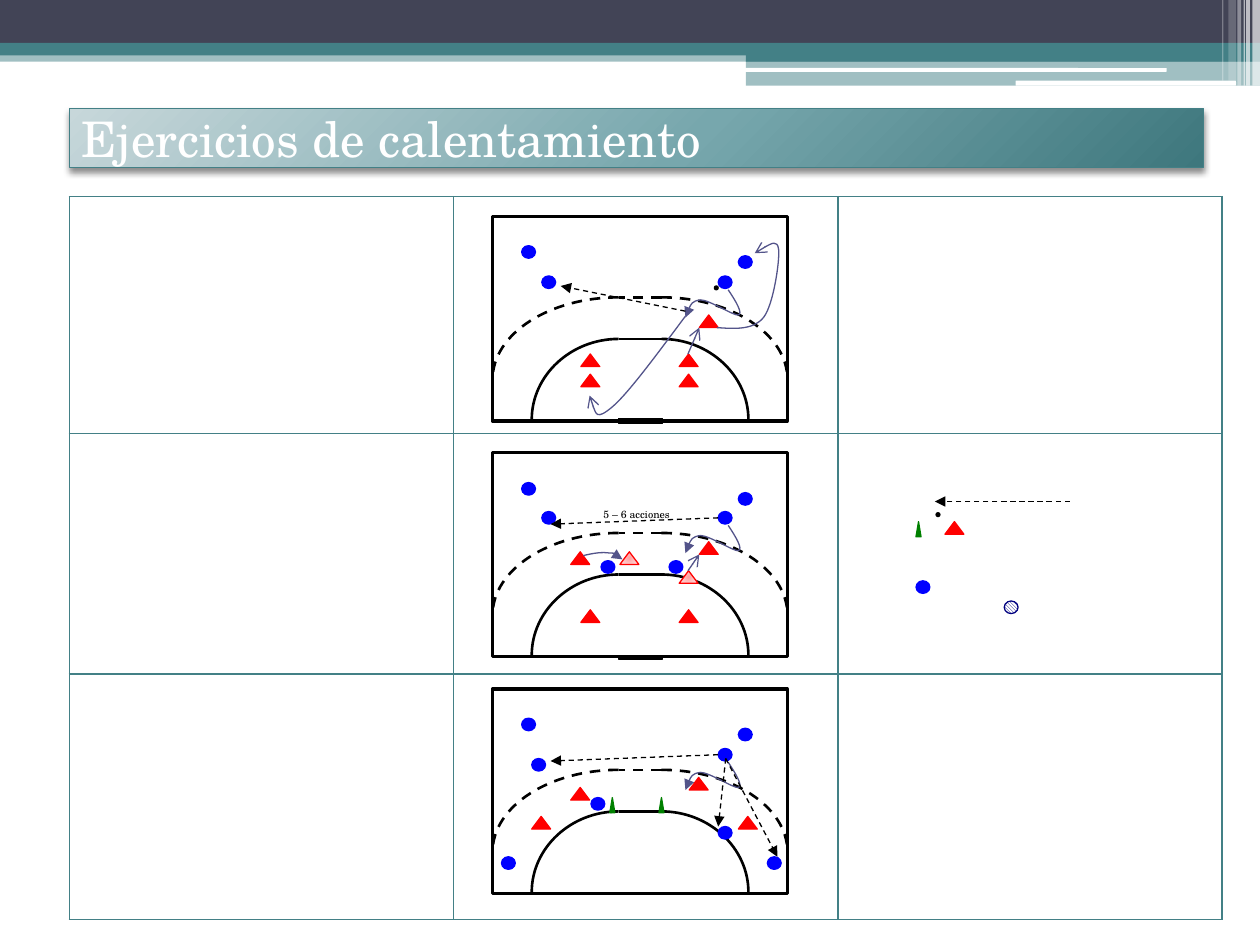
from lxml import etree
from pptx import Presentation
from pptx import util as u
from pptx.dml.color import RGBColor
from pptx.enum import dml, shapes, text
from pptx.oxml import parse_xml
from pptx.oxml.ns import nsdecls, qn

PX = 9144  # 100 px to the inch
FONT = "TeX Gyre Schola"
TEAL, NAVY, WHITE, BLACK = "438086", "424456", "FFFFFF", "000000"
BLUE, RED, GREEN, VIOLET = "0000FF", "FF0000", "008000", "53548A"
RECT, ROUND = shapes.MSO_SHAPE.RECTANGLE, shapes.MSO_SHAPE.ROUNDED_RECTANGLE
OVAL, TRIANGLE = shapes.MSO_SHAPE.OVAL, shapes.MSO_SHAPE.ISOSCELES_TRIANGLE
color = RGBColor.from_string


def draw(parent, kind, box, fill, line=None, width=0.75, alpha=None):
    """Add a preset shape; fill is a hex colour or (stops, focus) of a radial gradient."""
    shape = parent.add_shape(kind, *(v * PX for v in box))
    shape.shadow.inherit = False
    if isinstance(fill, str):
        shape.fill.solid()
        shape.fill.fore_color.rgb = color(fill)
    else:
        stops, focus = fill
        shape.fill.background()
        no_fill = shape._element.spPr.find(qn("a:noFill"))
        gs = "".join(f'<a:gs pos="{pos * 1000}"><a:srgbClr val="{c}"/></a:gs>' for pos, c in stops)
        sides = " ".join(f'{side}="{v * 1000}"' for side, v in zip("ltrb", focus))
        no_fill.getparent().replace(no_fill, parse_xml(
            f'<a:gradFill {nsdecls("a")} rotWithShape="1"><a:gsLst>{gs}</a:gsLst>'
            f'<a:path path="circle"><a:fillToRect {sides}/></a:path></a:gradFill>'))
    if alpha:
        for rgb in shape._element.spPr.xpath("./a:solidFill/a:srgbClr"):
            etree.SubElement(rgb, qn("a:alpha"), val=str(alpha * 1000))
    if line:
        shape.line.color.rgb = color(line)
        shape.line.width = u.Pt(width)
    else:
        shape.line.fill.background()
    return shape


def stroke(parent, points, hue, width=0.75, dash=False, arrow=None):
    """Two points make a straight line; more are a start and Bézier triples."""
    if len(points) == 2:
        mark = parent.add_connector(shapes.MSO_CONNECTOR.STRAIGHT,
                                    *(v * PX for point in points for v in point))
    else:
        builder = parent.build_freeform(*points[0], scale=PX)
        builder.add_line_segments(points[1:], close=False)
        mark = builder.convert_to_shape()
        mark.fill.background()
        steps = mark._element.xpath(".//a:lnTo")
        outline = steps[0].getparent()
        for i, step in enumerate(steps):
            if i % 3 == 0:
                bezier = etree.SubElement(outline, qn("a:cubicBezTo"))
            bezier.append(step[0])
            outline.remove(step)
    mark.line.color.rgb = color(hue)
    mark.line.width = u.Pt(width)
    if dash:
        mark.line.dash_style = dml.MSO_LINE.DASH
    if arrow:
        etree.SubElement(mark.line._get_or_add_ln(), qn("a:tailEnd"), type=arrow)
    etree.SubElement(mark._element.spPr, qn("a:effectLst"))


prs = Presentation()
prs.slide_width, prs.slide_height = 1000 * PX, 750 * PX
slide = prs.slides.add_slide(prs.slide_layouts[6])
canvas = slide.shapes

# Header bands
for kind, box, fill, alpha in [
    (RECT, (0, 40, 1000, 9), TEAL, 50),
    (RECT, (0, 0, 1000, 34), NAVY, None),
    (RECT, (0, 34, 1000, 10), TEAL, None),
    (RECT, (592, 39, 408, 10), TEAL, None),
    (RECT, (592, 48, 408, 20), TEAL, 50),
    (ROUND, (591, 54, 335, 3), WHITE, None),
    (ROUND, (806, 64, 175, 4), WHITE, None),
]:
    draw(canvas, kind, box, fill, alpha=alpha)
for left, width, height, alpha in [(994, 6, 68, 65), (989, 3, 68, 65), (987, 1, 68, 60),
                                   (982, 3, 68, 40), (975, 6, 64, 20), (970, 1, 64, 30)]:
    draw(canvas, RECT, (left, 0, width, height), WHITE, alpha=alpha)

# Title
title = draw(canvas, RECT, (55, 86, 900, 47),
             ([(0, "C7D7DA"), (55, "77A7AD"), (100, "3E777D")], (-40, -90, 140, 190)), TEAL)
title._element.spPr.find(qn("a:effectLst")).append(parse_xml(
    f'<a:outerShdw {nsdecls("a")} blurRad="50800" dist="25400" dir="5400000" rotWithShape="0">'
    '<a:srgbClr val="000000"><a:alpha val="45000"/></a:srgbClr></a:outerShdw>'))
title.text_frame.word_wrap = True
title.text_frame.vertical_anchor = text.MSO_ANCHOR.MIDDLE
heading = title.text_frame.paragraphs[0]
heading.alignment = text.PP_ALIGN.LEFT
run = heading.add_run()
run.text = "Ejercicios de calentamiento"
run.font.size, run.font.name = u.Pt(28), FONT
run.font.color.rgb = color(WHITE)

# Grid of exercises
grid = canvas.add_table(3, 3, 55 * PX, 156 * PX, 915 * PX, 574 * PX).table
grid.first_row = grid.horz_banding = False
for row, height in zip(grid.rows, (188, 191, 195)):
    row.height = height * PX
for column in grid.columns:
    column.width = 305 * PX
for cell in grid.iter_cells():
    cell.fill.background()
    for i, side in enumerate("LRTB"):
        cell._tc.tcPr.insert(i, parse_xml(
            f'<a:ln{side} {nsdecls("a")} w="12700"><a:solidFill><a:srgbClr val="{TEAL}"/>'
            f'</a:solidFill></a:ln{side}>'))

# Exercises: marker kinds as (shape, size, fill, line), then courts with their contents
PINK = ([(0, "FFA0A0"), (50, "FFC5C5"), (100, "FFE3E3")], (50, 50, 50, 50))
MARKERS = {
    "attacker": (OVAL, (11, 10), BLUE, BLUE),
    "defender": (TRIANGLE, (15, 10), RED, RED),
    "next_defender": (TRIANGLE, (15, 10), PINK, RED),
    "cone": (TRIANGLE, (4, 12), GREEN, GREEN),
    "ball": (OVAL, (3, 3), BLACK, BLACK),
}
exercises = [
    dict(top=172, goal="front",
         markers=dict(
             attacker=[(414, 195), (430, 219), (570, 219), (586, 203)],
             defender=[(539, 281), (539, 297), (461, 281), (461, 297), (555, 250)],
             ball=[(567, 227)]),
         passes=[[(544, 247), (445, 227)]],
         runs=[[(569, 260), (583, 261), (598, 262), (606, 252), (614, 242), (619, 206),
                (618, 198), (617, 190), (608, 195), (599, 201)],
               [(544, 251), (521, 282), (498, 313), (486, 323), (473, 334), (471, 324), (468, 314)],
               [(546, 281), (555, 260)]]),
    dict(top=359, goal="behind",
         markers=dict(
             attacker=[(414, 383), (430, 406), (570, 406), (586, 391), (477, 445), (531, 445)],
             defender=[(453, 438), (461, 484), (555, 430), (539, 484)],
             next_defender=[(539, 453), (492, 438)]),
         passes=[[(570, 411), (437, 416)]],
         runs=[[(546, 453), (555, 440)]],
         shift=[(463, 441), (471, 439), (478, 438), (484, 439), (489, 439), (491, 442), (494, 444)]),
    dict(top=547, goal=None,
         markers=dict(
             attacker=[(414, 570), (422, 602), (570, 594), (586, 578), (469, 633),
                       (570, 656), (609, 680), (398, 680)],
             defender=[(453, 625), (422, 648), (547, 617), (586, 648)],
             cone=[(523, 633), (484, 633)]),
         passes=[[(570, 599), (437, 604)], [(576, 602), (570, 656)], [(576, 602), (617, 680)]],
         runs=[]),
]
feint = [(578, 58), (584, 67), (590, 77), (586, 78), (583, 79),
         (563, 66), (556, 66), (549, 67), (546, 73), (544, 80)]

for exercise in exercises:
    top = exercise["top"]
    goal = (491, top + 160, 35, 4)
    if exercise["goal"] == "behind":
        draw(canvas, RECT, goal, BLACK, BLACK)
    court = canvas.add_group_shape().shapes
    draw(court, RECT, (391, top, 234, 162), WHITE, BLACK, 2)
    # Goal area (solid) and free-throw line (dashed): reach, control offsets, rise
    for reach, bend, rise, drop, depth, dash in [(69, 38, 97, 29, 64, False),
                                                 (100, 55, 64, 29, 65, True)]:
        y = top + rise
        for x, way in [(525, 1), (491, -1)]:
            stroke(court, [(x, y), (x + way * bend, y), (x + way * reach, y + drop),
                           (x + way * reach, y + depth)], BLACK, 1.5, dash)
        stroke(court, [(525, y), (491, y)], BLACK, 1.5, dash)
    if exercise["goal"] == "front":
        draw(court, RECT, goal, BLACK, BLACK)
    for marker, places in exercise["markers"].items():
        kind, size, fill, line = MARKERS[marker]
        for place in places:
            draw(court, kind, place + size, fill, line)
    stroke(court, [(x, top + y) for x, y in feint], VIOLET, arrow="triangle")
    for points in exercise["runs"]:
        stroke(court, points, VIOLET, arrow="arrow")
    if "shift" in exercise:
        stroke(court, exercise["shift"], VIOLET, arrow="triangle")
    for points in exercise["passes"]:
        stroke(court, points, BLACK, dash=True, arrow="triangle")

# Repetitions in the second exercise
repetitions = canvas.add_textbox(469 * PX, 398 * PX, 73 * PX, 20 * PX).text_frame
repetitions.word_wrap = False
repetitions.auto_size = text.MSO_AUTO_SIZE.SHAPE_TO_FIT_TEXT
run = repetitions.paragraphs[0].add_run()
run.text = "5 – 6 acciones"
run.font.size, run.font.name = u.Pt(6), FONT
run.font.color.rgb = color(BLACK)

# Loose symbols in the right-hand column
for marker, place in [("attacker", (727, 461)), ("defender", (750, 414)),
                      ("ball", (743, 407)), ("cone", (727, 414))]:
    kind, size, fill, line = MARKERS[marker]
    draw(canvas, kind, place + size, fill, line)
hatched = draw(canvas, OVAL, (797, 477, 11, 10), WHITE, "000080")
hatched.fill.patterned()
hatched.fill.pattern = dml.MSO_PATTERN.DARK_DOWNWARD_DIAGONAL
hatched.fill.fore_color.rgb = color("000080")
hatched.fill.back_color.rgb = color(WHITE)
stroke(canvas, [(849, 398), (742, 398)], BLACK, dash=True, arrow="triangle")

prs.save("out.pptx")
